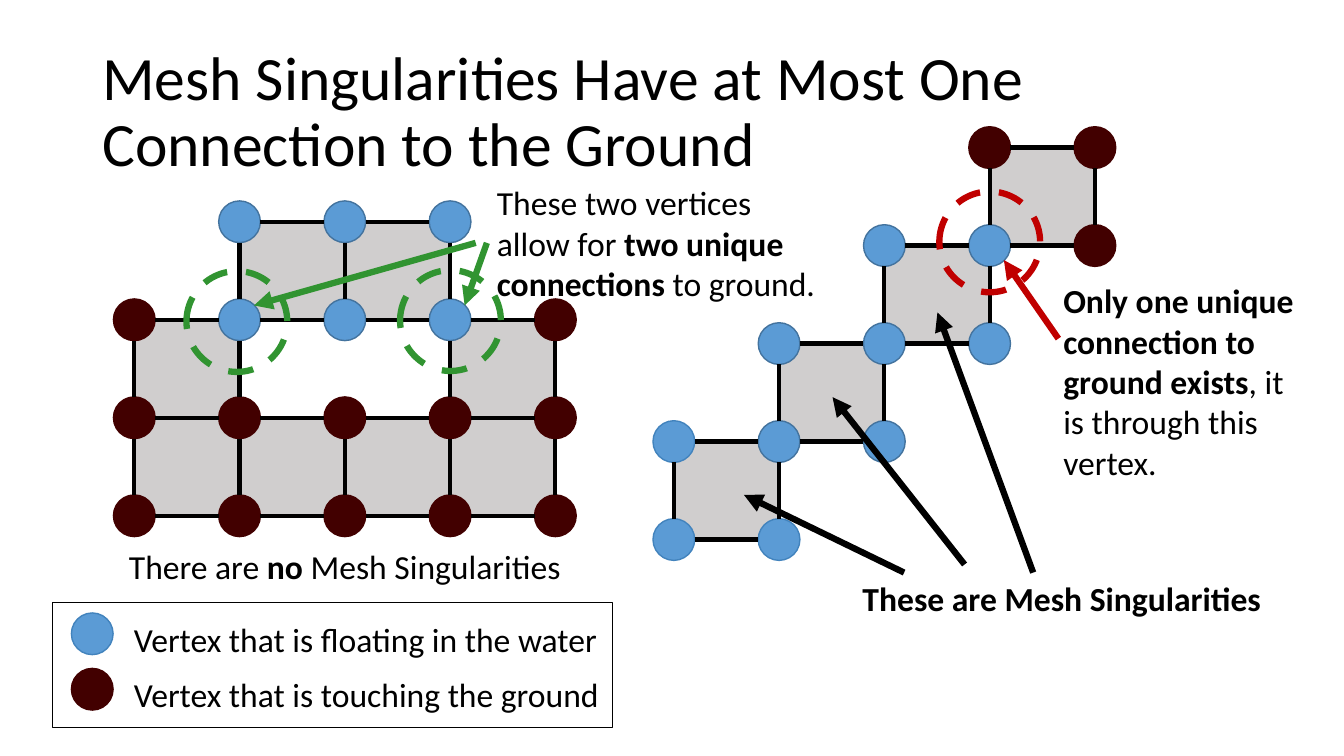
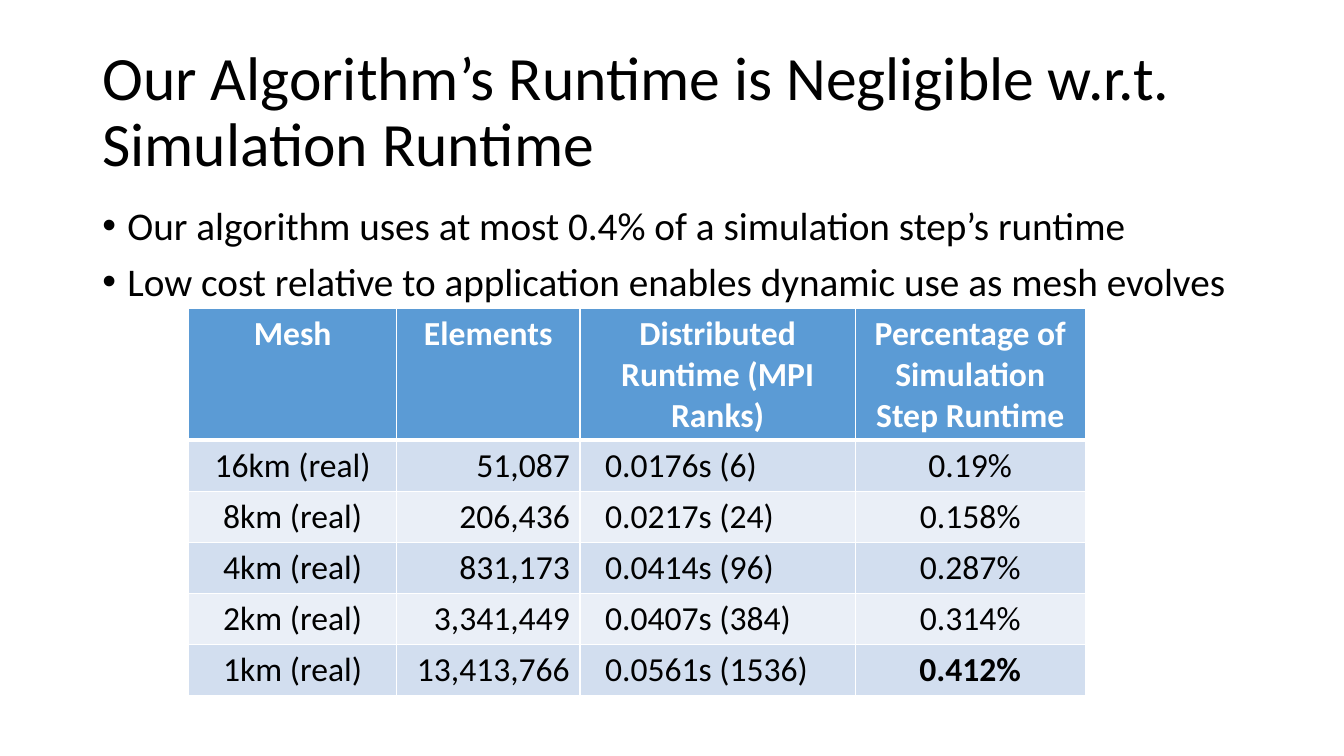
from pptx import Presentation
from pptx.dml.color import RGBColor
from pptx.enum.dml import MSO_LINE
from pptx.enum.shapes import MSO_CONNECTOR, MSO_SHAPE
from pptx.enum.text import MSO_ANCHOR, MSO_AUTO_SIZE, PP_ALIGN
from pptx.oxml.ns import qn
from pptx.util import Pt
from lxml import etree

OVAL, RECT = MSO_SHAPE.OVAL, MSO_SHAPE.RECTANGLE
STRAIGHT = MSO_CONNECTOR.STRAIGHT
DASH = MSO_LINE.DASH
MIDDLE, TOP = MSO_ANCHOR.MIDDLE, MSO_ANCHOR.TOP
LEFT, CENTER, RIGHT = PP_ALIGN.LEFT, PP_ALIGN.CENTER, PP_ALIGN.RIGHT
FIT = MSO_AUTO_SIZE.SHAPE_TO_FIT_TEXT

FONT = "Calibri"
COLORS = {
    "black": "000000", "white": "FFFFFF", "face": "D0CECE",
    "blue": "5B9BD5", "rim": "43739E", "pale": "4283BD",
    "brown": "420000", "green": "319431", "red": "C00000",
    "odd": "D2DEEF", "even": "EAEFF7",
}
KINDS = {"wet": ("blue", "rim"), "pale": ("blue", "pale"),
         "dry": ("brown", "brown")}
STEP_X, STEP_Y = 75.2, 70
SIZE = 29.8

LEFT_MESH = {
    "start": (95.9, 158.4),
    "blocks": [(1, 0, 2, 1), (3, 1, 1, 2), (1, 2, 2, 1), (0, 1, 1, 2)],
    "nodes": {
        "wet": [(c, r) for r in (0, 1) for c in (1, 2, 3)],
        "dry": [(0, 1), (4, 1)] + [(c, r) for r in (2, 3) for c in range(5)],
    },
}
RIGHT_MESH = {
    "start": (481.3, 105.4),
    "blocks": [(c, 3 - c, 1, 1) for c in range(4)],
    "nodes": {
        "wet": [(1, 3), (1, 2), (2, 3), (2, 2), (2, 1), (3, 2), (3, 1)],
        "pale": [(0, 4), (0, 3), (1, 4)],
        "dry": [(3, 0), (4, 1), (4, 0)],
    },
}
HEADS = ["Mesh", "Elements", "Distributed Runtime (MPI Ranks)",
         "Percentage of Simulation Step Runtime"]
ROWS = [
    ["16km (real)", "51,087", "0.0176s (6)", "0.19%"],
    ["8km (real)", "206,436", "0.0217s (24)", "0.158%"],
    ["4km (real)", "831,173", "0.0414s (96)", "0.287%"],
    ["2km (real)", "3,341,449", "0.0407s (384)", "0.314%"],
    ["1km (real)", "13,413,766", "0.0561s (1536)", "*0.412%*"],
]


def color(name):
    return RGBColor.from_string(COLORS[name])


def paint(fill, name):
    fill.solid()
    fill.fore_color.rgb = color(name)


def bullet(para):
    props = para._p.get_or_add_pPr()
    props.set("marL", str(Pt(18)))
    props.set("indent", str(Pt(-18)))
    etree.SubElement(props, qn("a:buFont")).set("typeface", "Arial")
    etree.SubElement(props, qn("a:buChar")).set("char", "•")


def write(frame, text, size=24, ink="black", bold=False, align=LEFT,
          leading=None, before=0, dots=False):
    for i, line in enumerate(text.split("\n")):
        para = frame.add_paragraph() if i else frame.paragraphs[0]
        if dots:
            bullet(para)
        para.alignment = align
        if leading:
            para.line_spacing = leading
        if i and before:
            para.space_before = Pt(before)
        for j, part in enumerate(line.split("*")):
            if part:
                run = para.add_run()
                run.text = part
                font = run.font
                font.name, font.size = FONT, Pt(size)
                font.bold = bold or j % 2 == 1
                font.color.rgb = color(ink)


def label(slide, box, text, wrap=True, fit=True, anchor=TOP, **form):
    frame = slide.shapes.add_textbox(*map(Pt, box)).text_frame
    frame.word_wrap = wrap
    frame.vertical_anchor = anchor
    if fit:
        frame.auto_size = FIT
    write(frame, text, **form)


def title(slide, text):
    label(slide, (66, 28.75, 828, 104.4), text, fit=False, anchor=MIDDLE,
          size=44, leading=0.9)


def shape(slide, kind, box, fill, edge, width=1, dash=None):
    item = slide.shapes.add_shape(kind, *map(Pt, box))
    item.shadow.inherit = False
    if fill:
        paint(item.fill, fill)
    else:
        item.fill.background()
    item.line.color.rgb = color(edge)
    item.line.width = Pt(width)
    if dash:
        item.line.dash_style = dash


def line(slide, start, end, ink="black", width=3, arrow=False):
    item = slide.shapes.add_connector(STRAIGHT, *map(Pt, start + end))
    item.line.color.rgb = color(ink)
    item.line.width = Pt(width)
    props = item._element.spPr
    if arrow:
        tail = etree.SubElement(props.find(qn("a:ln")), qn("a:tailEnd"))
        tail.set("type", "triangle")
    etree.SubElement(props, qn("a:effectLst"))


def node(slide, x, y, kind):
    fill, edge = KINDS[kind]
    shape(slide, OVAL, (x - SIZE / 2, y - SIZE / 2, SIZE, SIZE), fill, edge)


def sides(blocks):
    found = set()
    for col, row, wide, high in blocks:
        for c in range(col, col + wide):
            for r in range(row, row + high):
                found |= {(c, r, 1, 0), (c, r + 1, 1, 0),
                          (c, r, 0, 1), (c + 1, r, 0, 1)}
    return sorted(found)


def mesh(slide, start, blocks, nodes):
    def spot(c, r):
        return start[0] + c * STEP_X, start[1] + r * STEP_Y

    for c, r, wide, high in blocks:
        box = spot(c, r) + (wide * STEP_X, high * STEP_Y)
        shape(slide, RECT, box, "face", "face")
    for kind, spots in nodes.items():
        for c, r in spots:
            node(slide, *spot(c, r), kind)
    gap = SIZE / 2
    for c, r, dx, dy in sides(blocks):
        x, y = spot(c, r)
        far_x, far_y = spot(c + dx, r + dy)
        line(slide, (x + gap * dx, y + gap * dy),
             (far_x - gap * dx, far_y - gap * dy))


def ring(slide, x, y, ink):
    shape(slide, OVAL, (x, y, 72, 72), None, ink, 4.5, DASH)


def legend(slide):
    rows = [("wet", "floating in the water"), ("dry", "touching the ground")]
    for i, (kind, text) in enumerate(rows):
        y = 438.5 + i * 39.6
        node(slide, 65.9, y + 14.2, "pale" if kind == "wet" else kind)
        label(slide, (88.6, y, 349, 36), "Vertex that is " + text, wrap=False)
    shape(slide, RECT, (37.4, 430.5, 400.3, 89.3), None, "black")


def border(cell, base):
    props = cell._tc.get_or_add_tcPr()
    for side in "LRTB":
        edge = etree.SubElement(props, qn("a:ln" + side))
        edge.set("w", str(Pt(base if side == "B" else 1)))
        fill = etree.SubElement(edge, qn("a:solidFill"))
        etree.SubElement(fill, qn("a:srgbClr")).set("val", COLORS["white"])


def grid(slide):
    widths = [148.5, 131, 196.7, 164.2]
    aligns = [CENTER, RIGHT, LEFT, CENTER]
    box = (134.8, 220.4, sum(widths), 276.5)
    table = slide.shapes.add_table(6, 4, *map(Pt, box)).table
    for col, width in zip(table.columns, widths):
        col.width = Pt(width)
    for r, texts in enumerate([HEADS] + ROWS):
        table.rows[r].height = Pt(36.5 if r else 94)
        for c, text in enumerate(texts):
            cell = table.cell(r, c)
            border(cell, 1 if r else 3)
            paint(cell.fill, ("odd" if r % 2 else "even") if r else "blue")
            if r and c == 2:
                cell.margin_left = Pt(18)
            write(cell.text_frame, text, bold=r == 0,
                  ink="black" if r else "white",
                  align=aligns[c] if r else CENTER)


def ground(slide):
    title(slide,
          "Mesh Singularities Have at Most One Connection to the Ground")
    mesh(slide, **LEFT_MESH)
    mesh(slide, **RIGHT_MESH)
    label(slide, (752.4, 196.6, 188.6, 152.6),
          "*Only one unique connection to ground exists*, "
          "it is through this vertex.")
    label(slide, (609, 409, 302.4, 36), "These are Mesh Singularities",
          wrap=False, bold=True)
    label(slide, (347.8, 126.7, 251.3, 94.3),
          "These two vertices allow for *two unique connections *to ground.")
    label(slide, (85, 386.6, 329, 36), "There are *no* Mesh Singularities",
          wrap=False)
    for x, y, ink in [(671, 136.8, "red"), (133.2, 193.7, "green"),
                      (285.8, 193, "green")]:
        ring(slide, x, y, ink)
    arrows = [
        ((645.8, 409), (531.4, 353.5), "black"),
        ((689, 403.2), (594.7, 283.7), "black"),
        ((738, 409), (669.6, 223.2), "black"),
        ((756, 241.9), (717.1, 185.8), "red"),
        ((339.8, 173.5), (181.4, 218.2), "green"),
        ((347.8, 173.5), (331.9, 218.2), "green"),
    ]
    for start, end, ink in arrows:
        line(slide, start, end, ink, 4.5, True)
    legend(slide)


def runtime(slide):
    title(slide,
          "Our Algorithm’s Runtime is Negligible w.r.t. Simulation Runtime")
    label(slide, (66, 143.75, 828, 342.6),
          "Our algorithm uses at most 0.4% of a simulation step’s runtime\n"
          "Low cost relative to application enables dynamic use "
          "as mesh evolves",
          fit=False, size=28, leading=0.9, before=10, dots=True)
    grid(slide)


def main():
    deck = Presentation()
    deck.slide_width, deck.slide_height = Pt(960), Pt(540)
    for build in (ground, runtime):
        build(deck.slides.add_slide(deck.slide_layouts[6]))
    deck.save("out.pptx")


if __name__ == "__main__":
    main()
